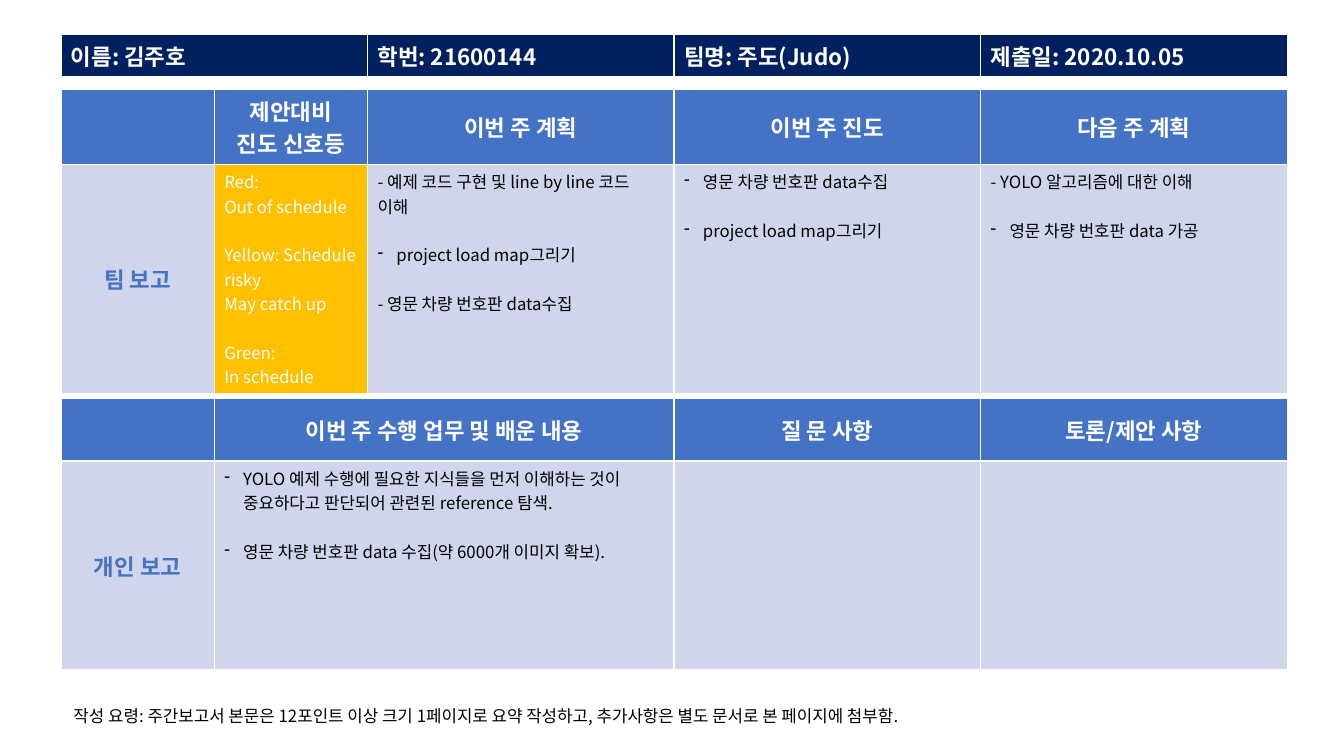
from dataclasses import dataclass

from lxml.etree import SubElement
from pptx import Presentation
from pptx.dml.color import RGBColor
from pptx.enum.text import MSO_ANCHOR, PP_ALIGN
from pptx.oxml import parse_xml
from pptx.oxml.ns import nsdecls, qn
from pptx.util import Pt


@dataclass(frozen=True)
class Theme:
    """Colours, font and sizes of the report."""
    font: str = "Noto Sans CJK KR"
    heading_size: int = 16
    body_size: int = 12
    navy: str = "002060"
    blue: str = "4472C4"
    pale: str = "CFD5EA"
    amber: str = "FFC000"
    white: str = "FFFFFF"
    black: str = "000000"


@dataclass(frozen=True)
class Line:
    """One paragraph of a report cell."""
    text: str
    bullet: bool = False
    gap: bool = False


THEME = Theme()

# Content
IDENTITY = ["이름: 김주호", "학번: 21600144", "팀명: 주도(Judo)", "제출일: 2020.10.05"]

TEAM_HEADINGS = [[], ["제안대비", "진도 신호등"], ["이번 주 계획"], ["이번 주 진도"], ["다음 주 계획"]]
TEAM_LABEL = "팀 보고"
TEAM_REPORT = [
    [Line("Red:"), Line("Out of schedule"),
     Line("Yellow: Schedule risky", gap=True), Line("May catch up"),
     Line("Green:", gap=True), Line("In schedule")],
    [Line("- 예제 코드 구현 및 line by line 코드 이해"),
     Line("project load map그리기", bullet=True, gap=True),
     Line("- 영문 차량 번호판 data수집", gap=True)],
    [Line("영문 차량 번호판 data수집", bullet=True),
     Line("project load map그리기", bullet=True, gap=True)],
    [Line("- YOLO 알고리즘에 대한 이해"),
     Line("영문 차량 번호판 data 가공", bullet=True, gap=True)],
]

PERSONAL_HEADINGS = [[], ["이번 주 수행 업무 및 배운 내용"], ["질 문 사항"], ["토론/제안 사항"]]
PERSONAL_LABEL = "개인 보고"
PERSONAL_REPORT = [
    [Line("YOLO 예제 수행에 필요한 지식들을 먼저 이해하는 것이 중요하다고 판단되어 "
          "관련된 reference 탐색.", bullet=True),
     Line("영문 차량 번호판 data 수집(약 6000개 이미지 확보).", bullet=True, gap=True)],
    [],
    [],
]

GUIDE = ("작성 요령: 주간보고서 본문은 12포인트 이상 크기 1페이지로 요약 작성하고, "
         "추가사항은 별도 문서로 본 페이지에 첨부함.")

# Layout, in points
LEFT = 43.5
QUARTER = 219
HALF = QUARTER / 2
IDENTITY_TOP, IDENTITY_HEIGHT = 24.5, 29.2
TEAM_TOP, PERSONAL_TOP = 64, 284.5
REPORT_ROWS = [44.8, 149]
GUIDE_BOX = (45.4, 500.5, 656.6, 21.8)
INDENT = 13.5
BLANK_LINE = 17.4


def add_run(paragraph, text, size, colour, bold=False):
    """Add one run in the theme font, for Latin and Korean alike."""
    run = paragraph.add_run()
    run.text = text
    run.font.size = Pt(size)
    run.font.bold = bold
    run.font.name = THEME.font
    run.font.color.rgb = RGBColor.from_string(colour)
    SubElement(run.font._element, qn("a:ea"), typeface=THEME.font)


def next_paragraph(frame, index):
    """Return the first paragraph of a frame, or a new one after it."""
    return frame.add_paragraph() if index else frame.paragraphs[0]


def paint(cell, colour):
    """Fill a cell with one colour."""
    cell.fill.solid()
    cell.fill.fore_color.rgb = RGBColor.from_string(colour)


def outline(cell):
    """Give a cell thin white borders."""
    properties = cell._tc.get_or_add_tcPr()
    for index, side in enumerate("LRTB"):
        properties.insert(index, parse_xml(
            f'<a:ln{side} {nsdecls("a")} w="{Pt(1)}"><a:solidFill>'
            f'<a:srgbClr val="{THEME.white}"/></a:solidFill></a:ln{side}>'))


def write_heading(cell, texts, fill, colour=THEME.white, centred=True):
    """Write bold heading lines in a painted cell."""
    paint(cell, fill)
    if centred:
        cell.vertical_anchor = MSO_ANCHOR.MIDDLE
    for index, text in enumerate(texts):
        paragraph = next_paragraph(cell.text_frame, index)
        if centred:
            paragraph.alignment = PP_ALIGN.CENTER
        add_run(paragraph, text, THEME.heading_size, colour, bold=True)


def write_report(cell, lines, fill, colour):
    """Write report lines, with dash bullets and gaps where asked."""
    paint(cell, fill)
    outline(cell)
    for index, line in enumerate(lines):
        paragraph = next_paragraph(cell.text_frame, index)
        if line.gap:
            paragraph.space_before = Pt(BLANK_LINE)
        if line.bullet:
            properties = paragraph._p.get_or_add_pPr()
            properties.set("marL", str(Pt(INDENT)))
            properties.set("indent", str(-Pt(INDENT)))
            SubElement(properties, qn("a:buChar"), char="-")
        add_run(paragraph, line.text, THEME.body_size, colour)


def add_grid(slide, top, widths, heights):
    """Add a table with the given column widths and row heights."""
    grid = slide.shapes.add_table(
        len(heights), len(widths), Pt(LEFT), Pt(top),
        Pt(sum(widths)), Pt(sum(heights))).table
    for column, width in zip(grid.columns, widths):
        column.width = Pt(width)
    for row, height in zip(grid.rows, heights):
        row.height = Pt(height)
    return grid


def add_identity(slide):
    """Add the bar that names the student, team and date."""
    bar = add_grid(slide, IDENTITY_TOP, [QUARTER] * len(IDENTITY), [IDENTITY_HEIGHT])
    for column, entry in enumerate(IDENTITY):
        write_heading(bar.cell(0, column), [entry], THEME.navy, centred=False)


def add_report(slide, top, widths, headings, label, report, signal=None):
    """Add a report table; signal is the column of the progress light."""
    grid = add_grid(slide, top, widths, REPORT_ROWS)
    for column, texts in enumerate(headings):
        write_heading(grid.cell(0, column), texts, THEME.blue)
    write_heading(grid.cell(1, 0), [label], THEME.pale, THEME.blue)
    outline(grid.cell(1, 0))
    for column, lines in enumerate(report, start=1):
        fill, colour = ((THEME.amber, THEME.white) if column == signal
                        else (THEME.pale, THEME.black))
        write_report(grid.cell(1, column), lines, fill, colour)


def add_guide(slide):
    """Add the writing guide under the tables."""
    frame = slide.shapes.add_textbox(*map(Pt, GUIDE_BOX)).text_frame
    frame.word_wrap = False
    add_run(frame.paragraphs[0], GUIDE, THEME.body_size, THEME.black)


def main():
    """Build the weekly report slide."""
    deck = Presentation()
    deck.slide_width, deck.slide_height = Pt(960), Pt(540)
    slide = deck.slides.add_slide(deck.slide_layouts[6])
    add_identity(slide)
    add_report(slide, TEAM_TOP, [HALF, HALF] + [QUARTER] * 3,
               TEAM_HEADINGS, TEAM_LABEL, TEAM_REPORT, signal=1)
    add_report(slide, PERSONAL_TOP, [HALF, HALF + QUARTER, QUARTER, QUARTER],
               PERSONAL_HEADINGS, PERSONAL_LABEL, PERSONAL_REPORT)
    add_guide(slide)
    deck.save("out.pptx")


main()
